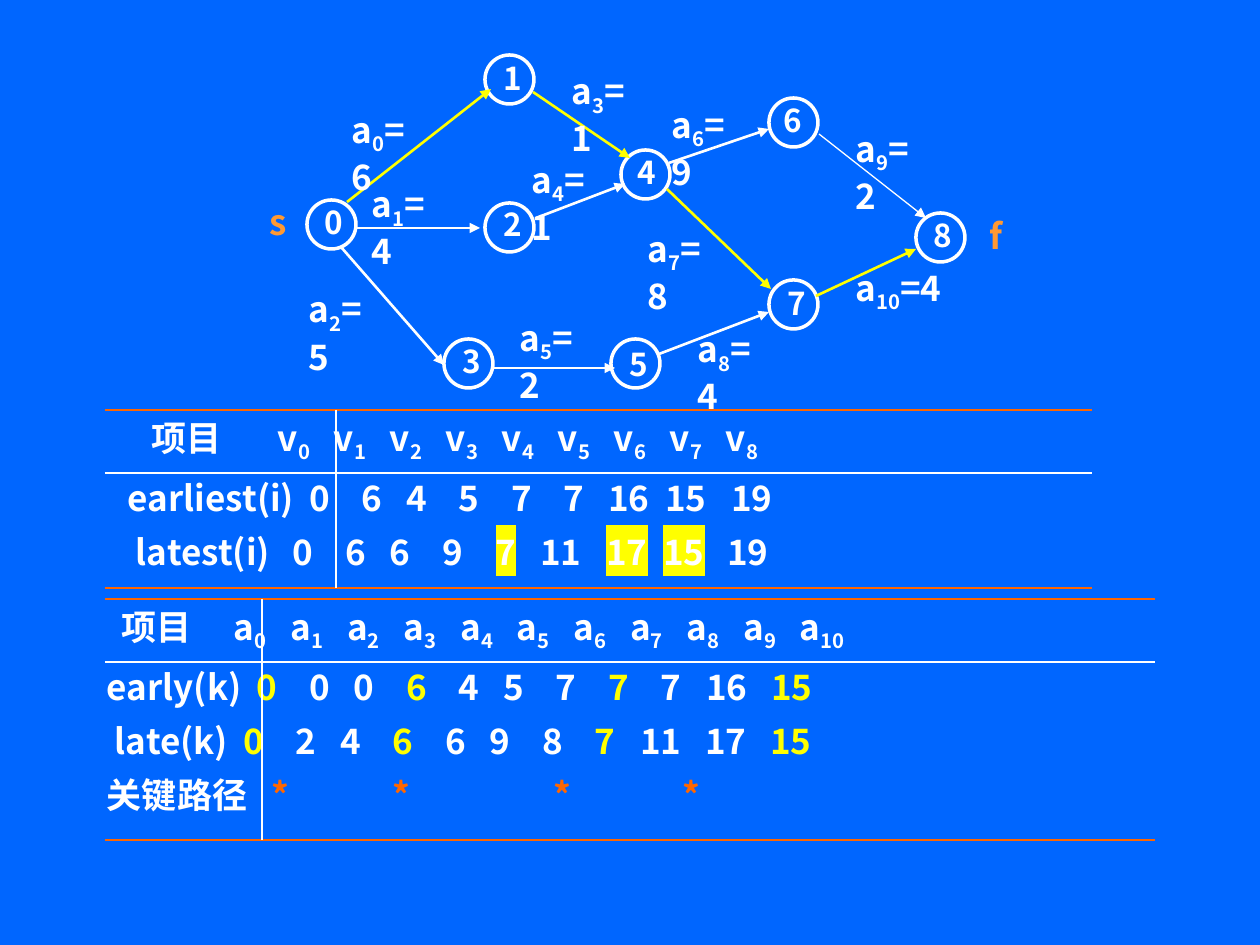
"""Builds a slide with an activity network and its two schedule tables."""
from dataclasses import dataclass

from lxml import etree
from pptx import Presentation
from pptx.dml.color import RGBColor
from pptx.enum.shapes import MSO_CONNECTOR, MSO_SHAPE
from pptx.enum.text import MSO_AUTO_SIZE
from pptx.oxml.ns import qn
from pptx.util import Emu, Pt

LINE = MSO_CONNECTOR.STRAIGHT
OVAL = MSO_SHAPE.OVAL
GROW = MSO_AUTO_SIZE.SHAPE_TO_FIT_TEXT
SCALE = 914400 / 126


@dataclass(frozen=True)
class Theme:
    back: str = "0066FF"
    ink: str = "FFFFFF"
    key: str = "FFFF00"
    end: str = "FF9933"
    rule: str = "FF6600"
    font: str = "Noto Sans CJK SC"
    body: int = 20
    node: int = 18
    gap: float = 7
    ring: float = 2
    bold: float = 1.5
    thin: float = 0.75


def px(num):
    return Emu(round(num * SCALE))


def rgb(code):
    return RGBColor.from_string(code)


class Board:
    def __init__(self, slide, theme):
        self.slide, self.theme = slide, theme
        slide.background.fill.solid()
        slide.background.fill.fore_color.rgb = rgb(theme.back)

    def ring(self, x, y, size):
        ring = self.slide.shapes.add_shape(OVAL, px(x), px(y), px(size), px(size))
        ring.shadow.inherit = False
        ring.fill.background()
        ring.line.color.rgb = rgb(self.theme.ink)
        ring.line.width = Pt(self.theme.ring)

    def line(self, ends, color, width, arrow=False):
        line = self.slide.shapes.add_connector(LINE, *map(px, ends))
        line.line.color.rgb = rgb(color)
        line.line.width = Pt(width)
        if arrow:
            etree.SubElement(line.line._get_or_add_ln(), qn("a:tailEnd"), type="triangle")
        etree.SubElement(line._element.spPr, qn("a:effectLst"))

    def box(self, x, y, wide, high):
        frame = self.slide.shapes.add_textbox(px(x), px(y), px(wide), px(high)).text_frame
        frame.word_wrap = True
        frame.auto_size = GROW
        return frame

    def run(self, para, text, color=None, size=None, sub=False, mark=None):
        run = para.add_run()
        run.text = text
        font = run.font
        font.size = Pt(size or self.theme.body)
        font.bold = True
        font.color.rgb = rgb(color or self.theme.ink)
        props = font._element
        if sub:
            props.set("baseline", "-25000")
        if mark:
            light = etree.SubElement(props, qn("a:highlight"))
            etree.SubElement(light, qn("a:srgbClr"), val=mark)
        font.name = self.theme.font
        etree.SubElement(props, qn("a:ea"), typeface=self.theme.font)

    def label(self, x, y, wide, high, *runs):
        para = self.box(x, y, wide, high).paragraphs[0]
        for text, style in runs:
            self.run(para, text, **style)

    def grid(self, x, y, wide, high, rows):
        frame = self.box(x, y, wide, high)
        frame.margin_left = 0
        for num, (align, stops, cells) in enumerate(rows):
            para = frame.add_paragraph() if num else frame.paragraphs[0]
            para.space_before = Pt(self.theme.gap if num else 0)
            tabs = etree.SubElement(para._p.get_or_add_pPr(), qn("a:tabLst"))
            for col, (stop, cell) in enumerate(zip(stops, cells)):
                kind = align if col else "l"
                etree.SubElement(tabs, qn("a:tab"), pos=str(px(stop - x)), algn=kind)
                self.run(para, "\t")
                for text, style in cell:
                    self.run(para, text, **style)


def head(sign, count, start, first, step):
    stops = [start] + [first + step * i for i in range(count)]
    cells = [[("项目", {})]]
    cells += [[(sign, {}), (str(i), {"sub": True})] for i in range(count)]
    return "l", stops, cells


def row(name, start, mids, values, special=(), **style):
    cells = [[(name, {})]]
    cells += [[(text, style if i in special else {})] for i, text in enumerate(values.split())]
    return "ctr", [start] + mids, cells


NODES = [
    (307, 200, 312, 197), (485, 55, 491, 53), (485, 203, 491, 199),
    (444, 339, 450, 336), (621, 150, 625, 147), (611, 339, 617, 339),
    (769, 98, 771, 95), (769, 280, 775, 278), (916, 213, 921, 210),
]
EDGES = [
    ((347, 202, 491, 89), (339, 102), 6), ((357, 228, 480, 228), (359, 176), 4),
    ((341, 247, 444, 365), (296, 281), 5), ((533, 92, 630, 158), (559, 63), 1),
    ((536, 218, 625, 184), (519, 152), 1), ((494, 368, 615, 368), (507, 310), 2),
    ((669, 163, 769, 129), (659, 97), 9), ((667, 189, 771, 289), (635, 221), 8),
    ((659, 354, 769, 312), (685, 321), 4), ((819, 134, 926, 218), (843, 121), 2),
    ((816, 296, 916, 249), (843, 260), 4),
]
PATH = (0, 3, 7, 10)
SLIM = 9


def draw_graph(board):
    theme = board.theme
    for num, (x, y, left, top) in enumerate(NODES):
        board.ring(x, y, 49)
        board.label(left, top, 63, 50, (str(num), {"size": theme.node}))
    for num, (ends, _, _) in enumerate(EDGES):
        color = theme.key if num in PATH else theme.ink
        board.line(ends, color, theme.thin if num == SLIM else theme.bold, arrow=True)
    for text, x, y, wide in (("s", 257, 194, 105), ("f", 977, 208, 73)):
        board.label(x, y, wide, 54, (text, {"color": theme.end}))
    for num, (_, (x, y), cost) in enumerate(EDGES):
        wide = 126 if num > 9 else 95
        board.label(x, y, wide, 54, ("a", {}), (str(num), {"sub": True}), (f"={cost}", {}))


def draw_tables(board):
    theme = board.theme
    early = [320, 372, 417, 469, 522, 574, 629, 686, 752]
    late = [303, 356, 400, 453, 506, 561, 627, 684, 748]
    board.grid(116, 410, 1008, 180, [
        head("v", 9, 152, 278, 56),
        row("earliest(i)", 128, early, "0 6 4 5 7 7 16 15 19"),
        row("latest(i)", 136, late, "0 6 6 9 7 11 17 15 19", (4, 6, 7), mark=theme.key),
    ])
    early = [267, 320, 364, 417, 469, 514, 566, 619, 671, 727, 792]
    late = [254, 306, 351, 403, 456, 500, 553, 605, 661, 726, 791]
    stars = [280, 401, 562, 691]
    board.grid(95, 599, 1124, 243, [
        head("a", 11, 122, 234, 56.6),
        row("early(k)", 107, early, "0 0 0 6 4 5 7 7 7 16 15", PATH, color=theme.key),
        row("late(k)", 115, late, "0 2 4 6 6 9 8 7 11 17 15", PATH, color=theme.key),
        row("关键路径", 107, stars, "* * * *", range(4), color=theme.rule),
    ])
    for right, split, levels in ((1092, 336, (410, 473, 588)), (1155, 262, (599, 662, 840))):
        for y, color in zip(levels, (theme.rule, theme.ink, theme.rule)):
            board.line((105, y, right, y), color, theme.thin)
        board.line((split, levels[0], split, levels[-1]), theme.ink, theme.thin)


def main():
    deck = Presentation()
    deck.slide_width, deck.slide_height = px(1260), px(945)
    board = Board(deck.slides.add_slide(deck.slide_layouts[6]), Theme())
    draw_graph(board)
    draw_tables(board)
    deck.save("out.pptx")


if __name__ == "__main__":
    main()
